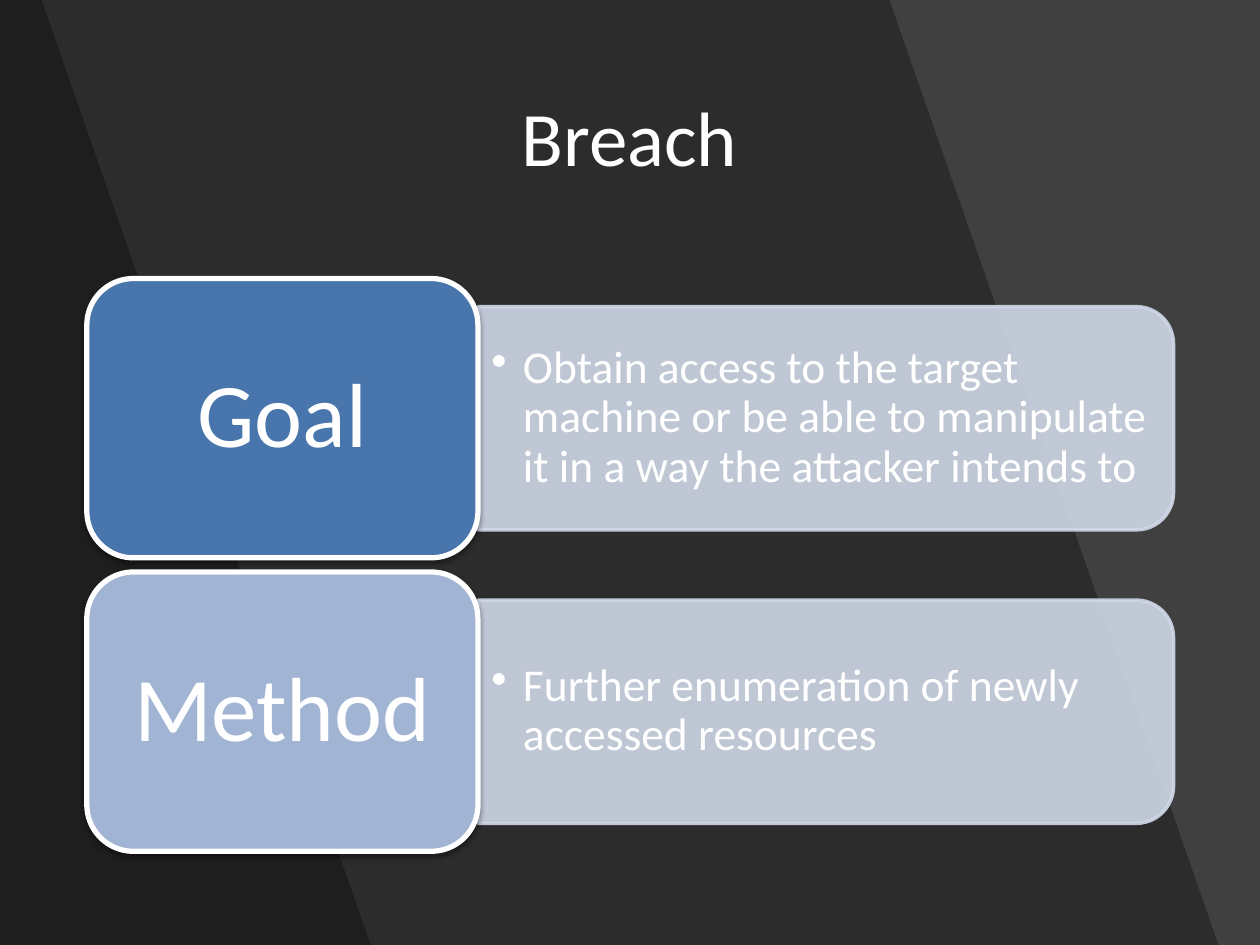
"""Build the Breach slide: goal and method cards over slanted dark bands."""
from lxml.etree import SubElement
from pptx import Presentation
from pptx.dml.color import RGBColor
from pptx.enum.shapes import MSO_SHAPE as Shape
from pptx.enum.text import MSO_ANCHOR as Anchor, PP_ALIGN as Align
from pptx.oxml.ns import qn
from pptx.util import Pt


def paint(color_format, color, alpha=100):
    color_format.fore_color.rgb = RGBColor.from_string(color)
    if alpha < 100:
        node = color_format._xPr.find(qn("a:solidFill"))[0]
        SubElement(node, qn("a:alpha"), val=str(alpha * 1000))


def add_text(box, text, size, margins, bullet=False):
    shape = slide.shapes.add_textbox(*map(Pt, box))
    frame = shape.text_frame
    frame.word_wrap = True
    frame.vertical_anchor = Anchor.MIDDLE
    frame.margin_left = frame.margin_right = Pt(margins[0])
    frame.margin_top = frame.margin_bottom = Pt(margins[1])
    paragraph = frame.paragraphs[0]
    paragraph.text = text
    paragraph.alignment = Align.LEFT if bullet else Align.CENTER
    paragraph.line_spacing = 0.9
    if bullet:
        properties = paragraph._p.get_or_add_pPr()
        properties.set("marL", str(Pt(18)))
        properties.set("indent", str(Pt(-18)))
        SubElement(properties, qn("a:buChar"), char="•")
    paragraph.font.name = "Calibri"
    paragraph.font.size = Pt(size)
    paragraph.font.color.rgb = RGBColor.from_string("FFFFFF")


presentation = Presentation()
presentation.slide_width, presentation.slide_height = Pt(720), Pt(540)
slide = presentation.slides.add_slide(presentation.slide_layouts[6])
slide.background.fill.solid()
paint(slide.background.fill, "404040")

for top_right in (508.3, 23.8):
    builder = slide.shapes.build_freeform(0, 0)
    corners = [(top_right, 0), (top_right + 188, 540), (0, 540)]
    builder.add_line_segments([(Pt(x), Pt(y)) for x, y in corners])
    band = builder.convert_to_shape()
    band.shadow.inherit = False
    band.fill.solid()
    paint(band.fill, "000000", 30)
    band.line.fill.background()

add_text((49, 28.8, 621.4, 104.4), "Breach", 44, (7.2, 3.6))

rows = [
    ("Goal", "4875AC", "Obtain access to the target machine or be able to "
     "manipulate it in a way the attacker intends to"),
    ("Method", "A2B4D4", "Further enumeration of newly accessed resources"),
]
for index, (label, color, detail) in enumerate(rows):
    top = 159.2 + index * 167.7

    panel = slide.shapes.add_shape(
        Shape.ROUND_2_SAME_RECTANGLE, Pt(408.1), Pt(top - 118.9), Pt(127.6), Pt(397.4))
    panel.rotation = 90
    panel.shadow.inherit = False
    panel.fill.solid()
    paint(panel.fill, "D0D8E8", 90)
    panel.line.width = Pt(2)
    panel.line.fill.solid()
    paint(panel.line.fill, "D0D8E8", 90)
    add_text((273.1, top + 22.2, 391, 115.2), detail, 26, (7.8, 3.9), bullet=True)

    card = slide.shapes.add_shape(
        Shape.ROUNDED_RECTANGLE, Pt(49.6), Pt(top), Pt(223.5), Pt(159.6))
    card.fill.solid()
    paint(card.fill, color)
    card.line.width = Pt(3)
    card.line.fill.solid()
    paint(card.line.fill, "FFFFFF")
    card.shadow.inherit = False
    effects = card._element.spPr.find(qn("a:effectLst"))
    shadow = SubElement(effects, qn("a:outerShdw"), blurRad=str(Pt(3.1)),
                        dist=str(Pt(1.6)), dir="5400000", rotWithShape="0")
    shadow_color = SubElement(shadow, qn("a:srgbClr"), val="000000")
    SubElement(shadow_color, qn("a:alpha"), val="38000")
    add_text((57.4, top + 7.8, 207.9, 144), label, 52, (15.6, 7.8))

presentation.save("out.pptx")
